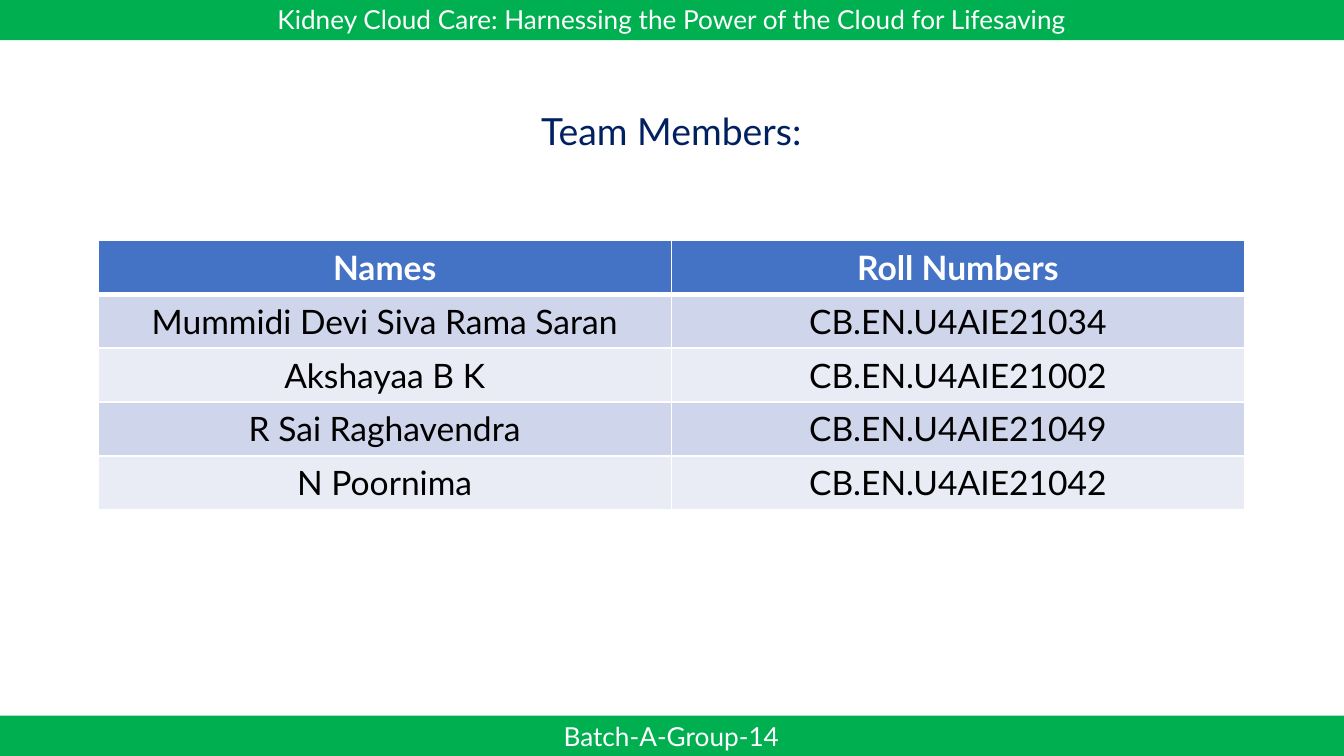
"""Build the team members slide with its green bars and roll number table."""
from lxml import etree
from pptx import Presentation
from pptx.dml.color import RGBColor
from pptx.enum import shapes, text
from pptx.oxml.ns import qn
from pptx.util import Inches, Pt

GREEN = RGBColor(0x00, 0xB0, 0x50)
NAVY = RGBColor(0x00, 0x20, 0x60)
BLUE = RGBColor(0x44, 0x72, 0xC4)
BAND_DARK = RGBColor(0xCF, 0xD5, 0xEA)
BAND_LIGHT = RGBColor(0xE9, 0xEB, 0xF5)
WHITE = RGBColor(0xFF, 0xFF, 0xFF)
BLACK = RGBColor(0x00, 0x00, 0x00)


def style(p, size, color, bold=False):
    p.alignment = text.PP_ALIGN.CENTER
    p.font.name = "Lato"
    p.font.size = Pt(size)
    p.font.bold = bold
    p.font.color.rgb = color


def add_border(cell, side, width):
    ln = etree.SubElement(cell._tc.get_or_add_tcPr(), qn(f"a:{side}"), w=str(Pt(width)))
    fill = etree.SubElement(ln, qn("a:solidFill"))
    etree.SubElement(fill, qn("a:srgbClr"), val=str(WHITE))


prs = Presentation()
prs.slide_width = Inches(10)
prs.slide_height = prs.slide_width * 9 // 16
s = prs.slides.add_slide(prs.slide_layouts[6])

bar_height = Inches(0.3)
for top in (prs.slide_height - bar_height, 0):
    sp = s.shapes.add_shape(shapes.MSO_SHAPE.RECTANGLE, 0, top, prs.slide_width, bar_height)
    sp.shadow.inherit = False
    sp.fill.solid()
    sp.fill.fore_color.rgb = GREEN
    sp.line.fill.background()

labels = [
    ("Kidney Cloud Care: Harnessing the Power of the Cloud for Lifesaving",
     (1.67, -0.05, 6.66, 0.39), 14, WHITE),
    ("Batch-A-Group-14", (3.45, 5.3, 3.09, 0.35), 14, WHITE),
    ("Team Members:", (2.47, 0.75, 5.05, 0.44), 20, NAVY),
]
for label, box, size, color in labels:
    sp = s.shapes.add_textbox(*map(Inches, box))
    tf = sp.text_frame
    tf.word_wrap = True
    tf.vertical_anchor = text.MSO_ANCHOR.MIDDLE
    tf.text = label
    style(tf.paragraphs[0], size, color)

rows = [
    ("Names", "Roll Numbers"),
    ("Mummidi Devi Siva Rama Saran", "CB.EN.U4AIE21034"),
    ("Akshayaa B K", "CB.EN.U4AIE21002"),
    ("R Sai Raghavendra", "CB.EN.U4AIE21049"),
    ("N Poornima", "CB.EN.U4AIE21042"),
]
table = s.shapes.add_table(len(rows), 2, Inches(0.73), Inches(1.79), Inches(8.53), Inches(2)).table
for i, row in enumerate(rows):
    header = i == 0
    for j, value in enumerate(row):
        cell = table.cell(i, j)
        cell.text = value
        style(cell.text_frame.paragraphs[0], 18, WHITE if header else BLACK, header)
        add_border(cell, "lnL", 1)
        add_border(cell, "lnR", 1)
        add_border(cell, "lnT", 3 if i == 1 else 1)
        add_border(cell, "lnB", 3 if header else 1)
        cell.fill.solid()
        cell.fill.fore_color.rgb = BLUE if header else BAND_DARK if i % 2 else BAND_LIGHT

prs.save("out.pptx")
